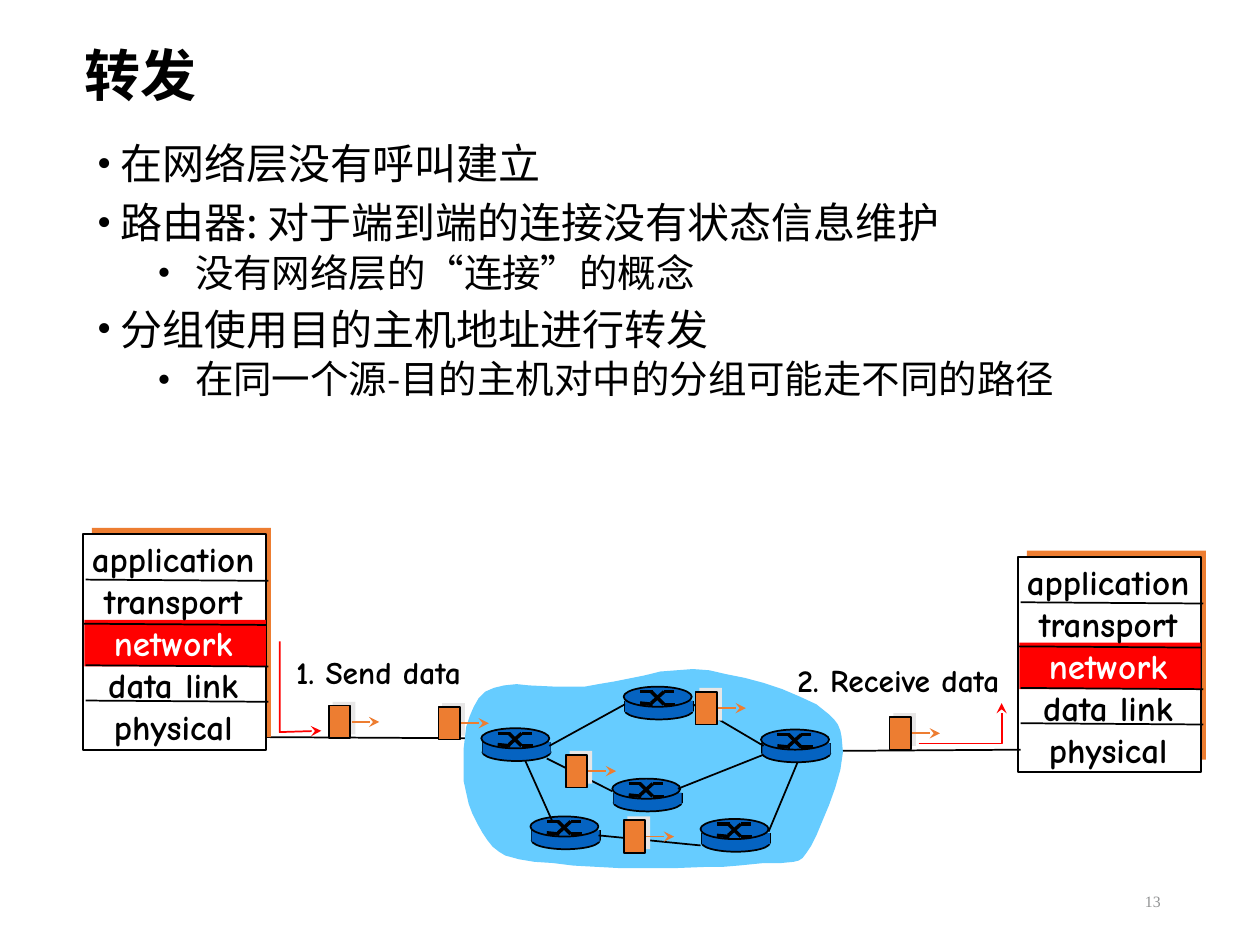
from lxml import etree
from pptx import Presentation
from pptx.dml.color import RGBColor
from pptx.enum import shapes, text
from pptx.oxml.ns import qn
from pptx.util import Inches, Pt

BLACK = RGBColor(0x00, 0x00, 0x00)
WHITE = RGBColor(0xFF, 0xFF, 0xFF)
RED = RGBColor(0xFF, 0x00, 0x00)
ORANGE = RGBColor(0xED, 0x7D, 0x31)
PALE = RGBColor(0xE7, 0xE6, 0xE6)
SKY = RGBColor(0x66, 0xCC, 0xFF)
BLUE = RGBColor(0x05, 0x63, 0xC1)
GRAY = RGBColor(0x91, 0x92, 0x93)
HAN, COMIC, SERIF = "Noto Sans CJK SC", "Comic Neue", "Times New Roman"
RECT = shapes.MSO_SHAPE.RECTANGLE
OVAL = shapes.MSO_SHAPE.OVAL
LEFT, MID, RIGHT = text.PP_ALIGN.LEFT, text.PP_ALIGN.CENTER, text.PP_ALIGN.RIGHT

deck = Presentation()
deck.slide_width, deck.slide_height = Inches(10), Inches(7.5)
slide = deck.slides.add_slide(deck.slide_layouts[5])


def write(frame, words, size=20, font=COMIC, color=BLACK, bold=False,
          align=LEFT, space=0, pitch=None, dent=None):
    """Add one paragraph; dent is (left margin, hanging) for a bullet."""
    para = frame.add_paragraph() if frame.text else frame.paragraphs[0]
    para.alignment = align
    para.space_before = Pt(space)
    if pitch:
        para.line_spacing = pitch
    if dent:
        props = para._p.get_or_add_pPr()
        props.set("marL", str(Inches(dent[0])))
        props.set("indent", str(-Inches(dent[1])))
        etree.SubElement(props, qn("a:buFont"), typeface=SERIF)
        etree.SubElement(props, qn("a:buChar"), char="•")
    run = para.add_run()
    run.text = words
    run.font.size, run.font.bold, run.font.name = Pt(size), bold, font
    run.font.color.rgb = color
    etree.SubElement(run._r.get_or_add_rPr(), qn("a:ea"), typeface=font)


def draw(kind, *nums, fill=None, edge=None, wide=1, tip=False):
    """Draw a line (two ends), a path (points), a text box or a preset shape."""
    if kind == "path":
        dots = [(Inches(x), Inches(y)) for x, y in nums]
        pen = slide.shapes.build_freeform(*dots[0], scale=1.0)
        pen.add_line_segments(dots[1:], close=bool(fill))
        item = pen.convert_to_shape()
    else:
        spots = [Inches(n) for n in nums]
        if kind == "text":
            item = slide.shapes.add_textbox(*spots)
            item.text_frame.word_wrap = True
            return item.text_frame
        if kind == "line":
            item = slide.shapes.add_connector(shapes.MSO_CONNECTOR.STRAIGHT, *spots)
        else:
            item = slide.shapes.add_shape(kind, *spots)
    if kind != "line":
        item.shadow.inherit = False
        if fill:
            item.fill.solid()
            item.fill.fore_color.rgb = fill
        else:
            item.fill.background()
    if edge:
        item.line.color.rgb = edge
        item.line.width = Pt(wide)
    else:
        item.line.fill.background()
    props = item._element.spPr
    if tip:
        etree.SubElement(props.find(qn("a:ln")), qn("a:tailEnd"), type="stealth")
    if kind == "line":
        etree.SubElement(props, qn("a:effectLst"))
    return item


# Title
title = slide.shapes.title
title.left, title.top = Inches(0.57), Inches(0)
title.width, title.height = Inches(8.5), Inches(1.25)
title.text_frame.vertical_anchor = text.MSO_ANCHOR.MIDDLE
write(title.text_frame, "转发", size=32, font=HAN, bold=True, pitch=0.9)

# Bullets
body = draw("text", 0.67, 1.09, 8.51, 2.49)
points = [
    (0, "在网络层没有呼叫建立"),
    (0, "路由器: 对于端到端的连接没有状态信息维护"),
    (1, "没有网络层的“连接”的概念"),
    (0, "分组使用目的主机地址进行转发"),
    (1, "在同一个源-目的主机对中的分组可能走不同的路径"),
]
for rank, (level, words) in enumerate(points):
    size, gap, dent = [(24, 7.5, (0.19, 0.19)), (22, 3.8, (0.78, 0.3))][level]
    write(body, words, size=size, font=HAN, pitch=0.9, dent=dent,
          space=gap if rank else 0)

# Page number
page = draw("text", 7.06, 6.95, 2.25, 0.4)
page.vertical_anchor = text.MSO_ANCHOR.MIDDLE
write(page, "13", size=9, font=SERIF, color=GRAY, align=RIGHT)

# Hosts with their protocol stacks
draw("line", 2.1, 5.85, 3.83, 5.86, edge=BLACK)
for x, y in [(0.66, 4.24), (8.08, 4.42)]:
    draw(RECT, x + 0.07, y - 0.05, 1.42, 1.66, fill=ORANGE)
    draw(RECT, x, y, 1.45, 1.71, fill=WHITE, edge=BLACK)
    draw(RECT, x + 0.01, y + 0.68, 1.44, 0.37, fill=RED)
    stack = draw("text", x - 0.14, y - 0.02, 1.71, 1.77)
    for layer in ["application", "transport", "network", "data link", "physical"]:
        write(stack, layer, bold=True, align=MID,
              color=WHITE if layer == "network" else BLACK)
    for dx, dy in [(0.02, 0.36), (0, 0.71), (0.02, 1.04), (0.02, 1.32)]:
        draw("line", x + dx, y + dy, x + dx + 1.45, y + dy + 0.01, edge=BLACK)
draw("line", 8.1, 5.95, 6.57, 5.96, edge=BLACK)

# Step labels and red arrows
for x, y, w, words in [(2.1, 5.13, 1.81, "1. Send data"),
                       (6.07, 5.2, 2.12, "2. Receive data")]:
    label = draw("text", x, y, w, 0.4)
    label.word_wrap = False
    write(label, words, size=18, bold=True, align=MID)
draw("path", (2.22, 5.09), (2.22, 5.81), (2.55, 5.8), edge=RED, tip=True)
draw("path", (7.29, 5.9), (7.95, 5.9), (7.95, 5.58), edge=RED, tip=True)

# Network cloud
cloud = [
    (3.68, 6.11), (3.68, 5.94), (3.7, 5.77), (3.73, 5.68), (3.76, 5.61),
    (3.8, 5.54), (3.85, 5.49), (3.92, 5.46), (4, 5.44), (4.1, 5.43),
    (4.2, 5.44), (4.41, 5.45), (4.64, 5.45), (4.75, 5.43), (4.87, 5.41),
    (5.12, 5.36), (5.24, 5.33), (5.37, 5.32), (5.5, 5.31), (5.63, 5.32),
    (5.76, 5.35), (5.91, 5.38), (6.06, 5.42), (6.21, 5.47), (6.35, 5.53),
    (6.48, 5.59), (6.58, 5.67), (6.62, 5.71), (6.65, 5.75), (6.67, 5.8),
    (6.68, 5.85), (6.69, 5.97), (6.67, 6.11), (6.63, 6.25), (6.58, 6.39),
    (6.53, 6.51), (6.48, 6.63), (6.44, 6.71), (6.4, 6.77), (6.37, 6.81),
    (6.34, 6.83), (6.3, 6.84), (6.2, 6.85), (6.06, 6.85), (5.86, 6.87),
    (5.74, 6.88), (5.62, 6.88), (5.36, 6.89), (4.92, 6.89), (4.73, 6.88),
    (4.55, 6.87), (4.39, 6.85), (4.24, 6.84), (4.12, 6.82), (4.01, 6.79),
    (3.96, 6.76), (3.91, 6.72), (3.87, 6.67), (3.83, 6.61), (3.79, 6.54),
    (3.75, 6.46), (3.72, 6.38), (3.7, 6.29), (3.68, 6.2),
]
draw("path", *cloud, fill=SKY)

# Routers
marks = [(0.13, 0.04, 0.23, 0.04), (0.32, 0.14, 0.41, 0.14),
         (0.22, 0.04, 0.32, 0.14), (0.13, 0.13, 0.23, 0.14),
         (0.32, 0.04, 0.4, 0.04), (0.22, 0.13, 0.32, 0.04)]
for x, y in [(3.82, 5.78), (4.21, 6.48), (4.95, 5.45),
             (4.86, 6.18), (5.56, 6.5), (6.04, 5.79)]:
    draw(OVAL, x + 0.01, y + 0.12, 0.54, 0.14, fill=BLUE, edge=BLACK)
    for side in (x + 0.01, x + 0.55):
        draw("line", side, y + 0.11, side, y + 0.19, edge=BLACK)
    draw(RECT, x + 0.01, y + 0.11, 0.54, 0.09, fill=BLUE)
    draw(OVAL, x, y, 0.54, 0.16, fill=BLUE, edge=BLACK)
    for a, b, c, d in marks:
        draw("line", x + a, y + b, x + c, y + d, edge=BLACK, wide=2)

# Links between routers
for ends in [(4.36, 5.92, 4.96, 5.59), (5.5, 5.59, 6.06, 5.92),
             (4.34, 6.02, 4.86, 6.28), (5.38, 6.26, 6.06, 5.99),
             (6.1, 6.6, 6.33, 6.05), (5.56, 6.71, 4.75, 6.63),
             (4.38, 6.51, 4.17, 6.04)]:
    draw("line", *ends, edge=BLACK)

# Packets on the move
for x, y in [(2.61, 5.6), (3.48, 5.61), (5.52, 5.49),
             (4.95, 6.51), (4.49, 5.99), (7.06, 5.69)]:
    draw(RECT, x + 0.03, y - 0.03, 0.18, 0.26, fill=PALE)
    draw(RECT, x, y, 0.17, 0.26, fill=ORANGE, edge=BLACK)
    draw("line", x + 0.18, y + 0.13, x + 0.4, y + 0.13, edge=ORANGE, tip=True)

deck.save("out.pptx")
